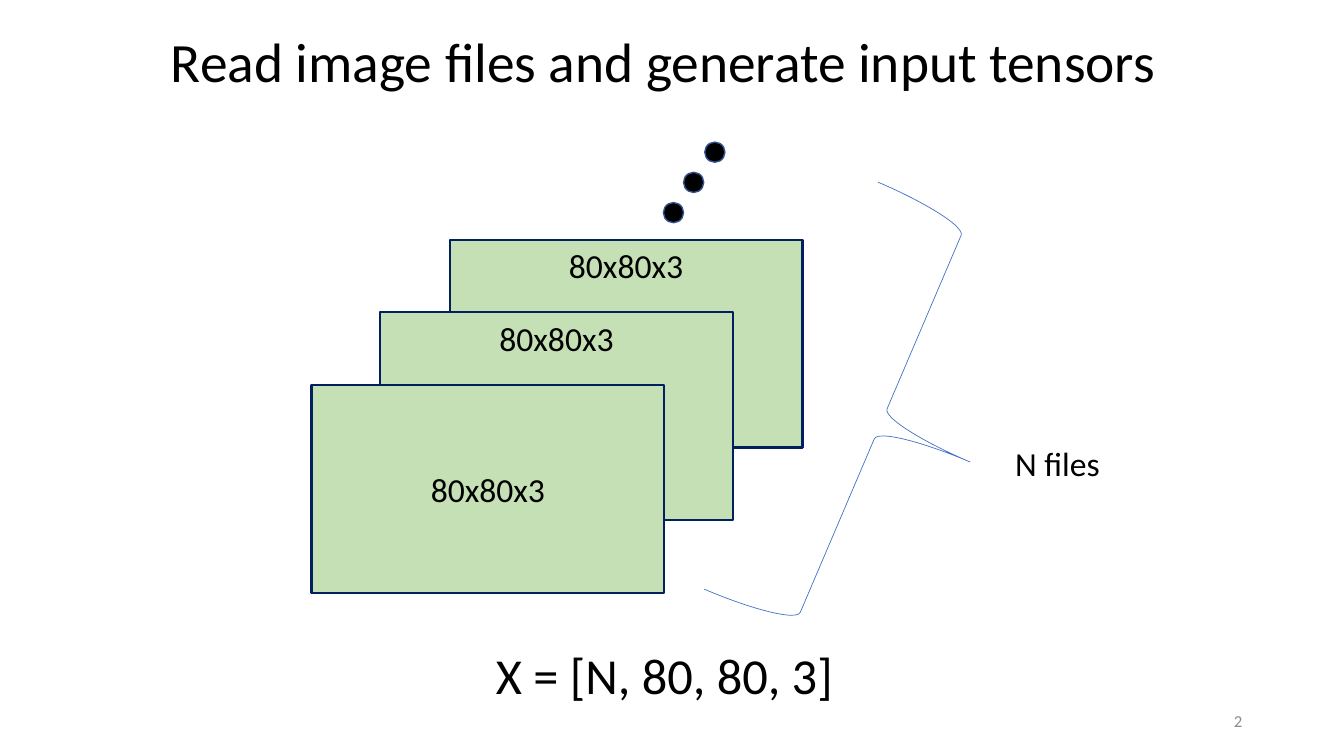
from pptx import Presentation
from pptx.dml.color import RGBColor
from pptx.enum.shapes import MSO_SHAPE
from pptx.enum.text import MSO_ANCHOR, PP_ALIGN
from pptx.util import Pt

PX = 9144
RECT = MSO_SHAPE.RECTANGLE
DOT = MSO_SHAPE.OVAL
BRACE = MSO_SHAPE.RIGHT_BRACE
TOP, MID = MSO_ANCHOR.TOP, MSO_ANCHOR.MIDDLE
LEFT, MIDDLE, RIGHT = PP_ALIGN.LEFT, PP_ALIGN.CENTER, PP_ALIGN.RIGHT
BLACK = "000000"


def color(code):
    return RGBColor.from_string(code)


def emu(box):
    return [n * PX for n in box]


def write(frame, text, size, align, anchor, ink=BLACK):
    frame.word_wrap = True
    frame.vertical_anchor = anchor
    para = frame.paragraphs[0]
    para.text = text
    para.alignment = align
    para.font.name = "Calibri"
    para.font.size = Pt(size)
    para.font.color.rgb = color(ink)
    return para


def label(slide, box, text, size, align=LEFT, anchor=TOP, ink=BLACK):
    frame = slide.shapes.add_textbox(*emu(box)).text_frame
    return write(frame, text, size, align, anchor, ink)


def draw(slide, kind, box, fill, line, width):
    shape = slide.shapes.add_shape(kind, *emu(box))
    shape.shadow.inherit = False
    if fill:
        shape.fill.solid()
        shape.fill.fore_color.rgb = color(fill)
    else:
        shape.fill.background()
    shape.line.color.rgb = color(line)
    shape.line.width = Pt(width)
    return shape


def title(slide, box):
    para = label(slide, box, "Read image files and generate input tensors",
                 39.6, MIDDLE, MID)
    para.line_spacing = 0.9


def stack(slide, box):
    x, y, w, h = box
    for i, anchor in enumerate((TOP, TOP, MID)):
        place = (x + 137 * (2 - i) // 2, y + 72 * i, 350, 206)
        card = draw(slide, RECT, place, "C5E0B4", "002060", 1.5)
        write(card.text_frame, "80x80x3", 24, MIDDLE, anchor)


def dots(slide, box):
    x, y, w, h = box
    for i in range(3):
        place = (x + 41 * i // 2, y + h - 20 - 30 * i, 20, 20)
        draw(slide, DOT, place, BLACK, "325491", 1)


def count(slide, box):
    x, y, w, h = box
    brace = draw(slide, BRACE, (x, y, 193, h), None, "4472C4", 0.5)
    brace.rotation = 23.1
    label(slide, (x + w - 106, y + 233, 106, 50), "N files", 24)


def main():
    deck = Presentation()
    deck.slide_width, deck.slide_height = emu((1333, 750))
    slide = deck.slides.add_slide(deck.slide_layouts[6])
    title(slide, (83, 28, 1150, 72))
    stack(slide, (309, 238, 487, 350))
    dots(slide, (658, 141, 61, 80))
    count(slide, (777, 201, 326, 439))
    label(slide, (482, 634, 490, 71), "X = [N, 80, 80, 3]", 36)
    label(slide, (942, 695, 300, 40), "2", 12, RIGHT, MID, "8C8C8C")
    deck.save("out.pptx")


if __name__ == "__main__":
    main()
